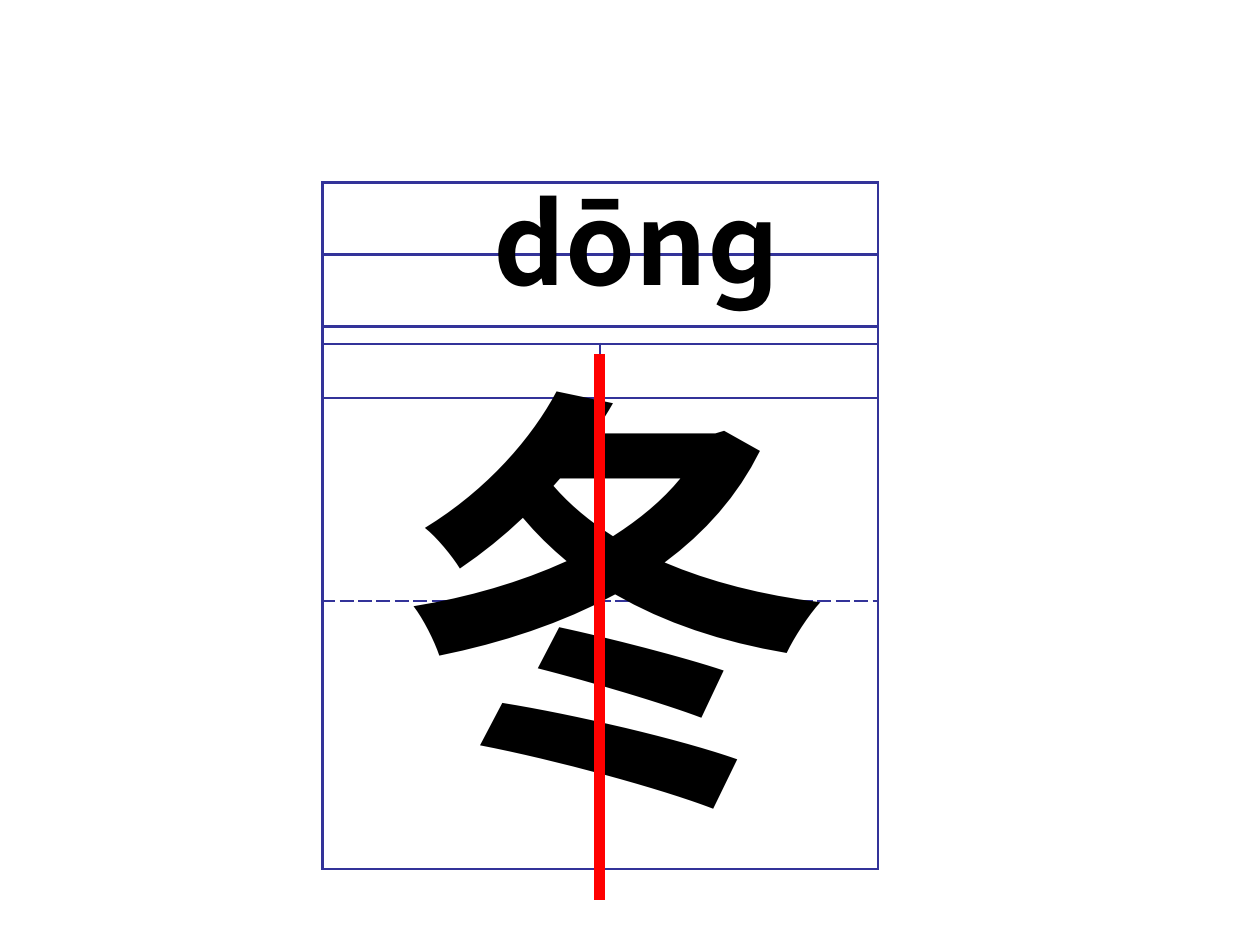
from lxml import etree
from pptx import Presentation
from pptx.dml.color import RGBColor
from pptx.enum.shapes import MSO_CONNECTOR
from pptx.enum.text import MSO_AUTO_SIZE
from pptx.oxml.ns import qn
from pptx.util import Cm, Pt

STRAIGHT = MSO_CONNECTOR.STRAIGHT
GROW = MSO_AUTO_SIZE.SHAPE_TO_FIT_TEXT
COLORS = {"grid": "333399", "text": "000000", "stroke": "FF0000"}
CJK_FONT = "Noto Sans CJK SC"
GRID_LEFT, GRID_WIDTH = 6.5, 11.2


def rgb(name):
    return RGBColor.from_string(COLORS[name])


def set_borders(cell, dashed):
    cell.fill.background()
    tcPr = cell._tc.get_or_add_tcPr()
    for i, side in enumerate("LRTB"):
        ln = etree.Element(qn(f"a:ln{side}"), w=str(Pt(1.47)))
        fill = etree.SubElement(ln, qn("a:solidFill"))
        etree.SubElement(fill, qn("a:srgbClr"), val=COLORS["grid"])
        dash = "dash" if side in dashed else "solid"
        etree.SubElement(ln, qn("a:prstDash"), val=dash)
        tcPr.insert(i, ln)


def add_grid(slide, top, cols, rows, inner_dash=False):
    frame = slide.shapes.add_table(len(rows), len(cols), Cm(GRID_LEFT), Cm(top),
                                   Cm(sum(cols)), Cm(sum(rows)))
    table = frame.table
    table.first_row = table.horz_banding = False
    for col, width in zip(table.columns, cols):
        col.width = Cm(width)
    for i, height in enumerate(rows):
        table.rows[i].height = Cm(height)
        for j in range(len(cols)):
            inner = {"L": j > 0, "R": j < len(cols) - 1,
                     "T": i > 0, "B": i < len(rows) - 1}
            dashed = [side for side in inner if inner_dash and inner[side]]
            set_borders(table.cell(i, j), dashed)


def add_label(slide, box, text, size, font, wrap):
    sp = slide.shapes.add_textbox(*(Cm(v) for v in box))
    tf = sp.text_frame
    tf.word_wrap = wrap
    tf.auto_size = GROW
    r = tf.paragraphs[0].add_run()
    r.text = text
    r.font.name = font
    r.font.size = Pt(size)
    r.font.bold = True
    r.font.color.rgb = rgb("text")
    ea = etree.Element(qn("a:ea"), typeface=CJK_FONT)
    r.font._element.find(qn("a:latin")).addnext(ea)


def add_stroke(slide, x, top, bottom):
    line = slide.shapes.add_connector(STRAIGHT, Cm(x), Cm(top), Cm(x), Cm(bottom))
    line.line.color.rgb = rgb("stroke")
    line.line.width = Pt(6)
    etree.SubElement(line._element.spPr, qn("a:effectLst"))


def main():
    prs = Presentation()
    prs.slide_width, prs.slide_height = Cm(25.4), Cm(19.05)
    slide = prs.slides.add_slide(prs.slide_layouts[6])
    add_grid(slide, 6.93, [5.59, GRID_WIDTH - 5.59], [5.18, 5.41], inner_dash=True)
    add_grid(slide, 3.68, [GRID_WIDTH], [1.45] * 3)
    add_label(slide, (9.7, 3.38, 7.01, 2.97), "dōnɡ", 64, CJK_FONT, True)
    add_label(slide, (7.75, 6.48, 9.32, 10.85), "冬", 250, "Arial", False)
    add_stroke(slide, 12.09, 7.14, 18.14)
    prs.save("out.pptx")


if __name__ == "__main__":
    main()
